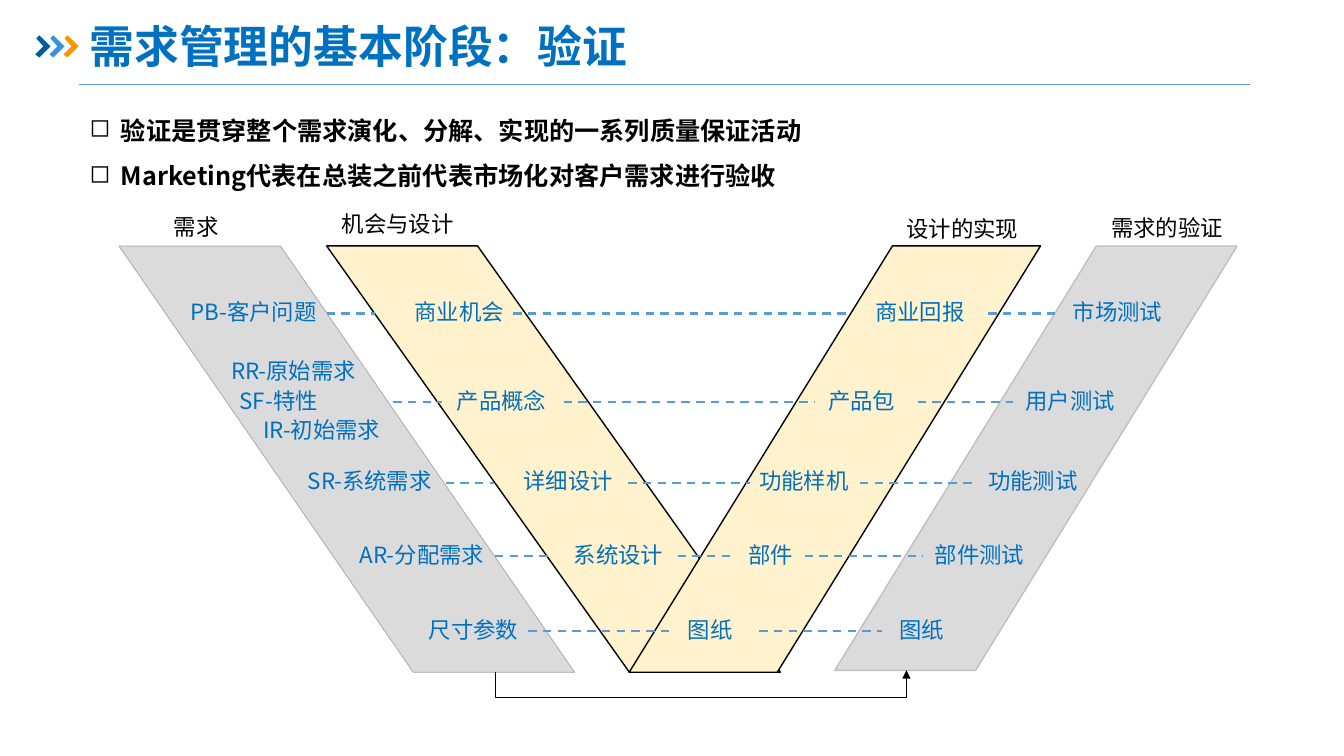
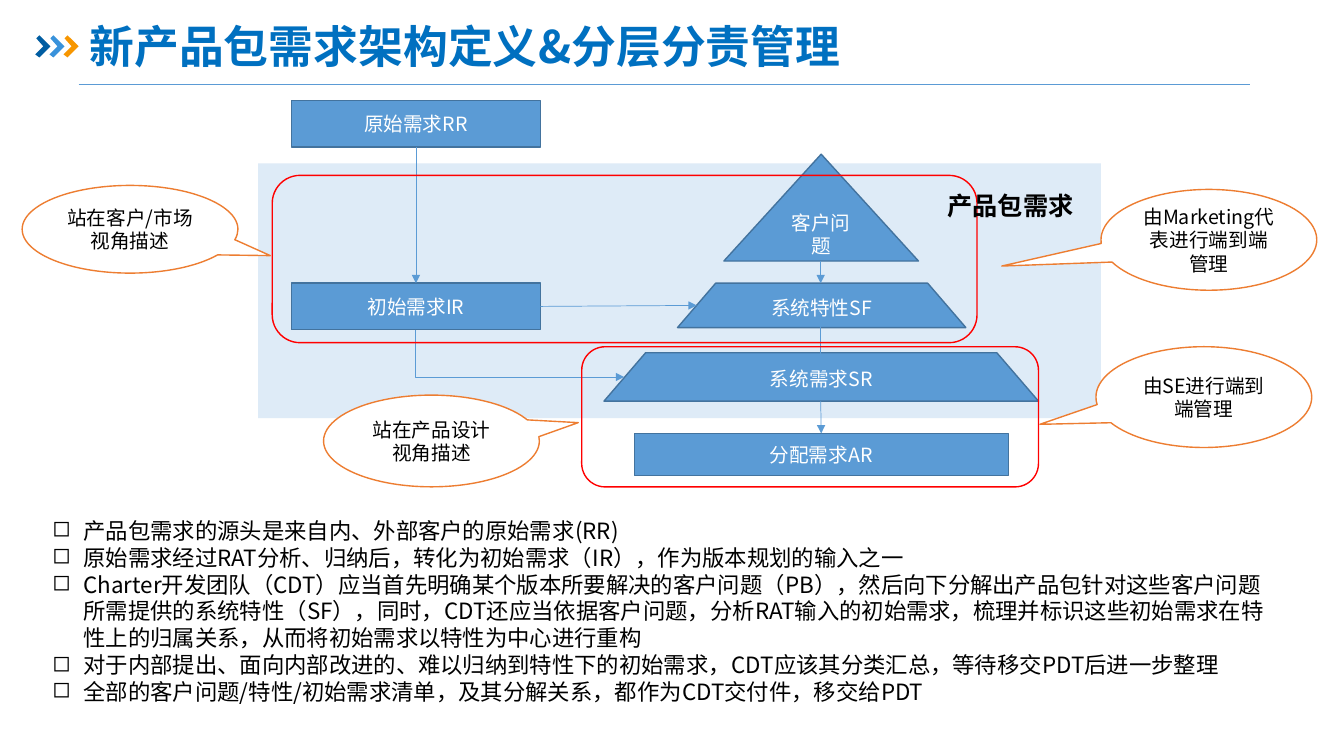
from lxml import etree
from pptx import Presentation
from pptx.dml.color import RGBColor
from pptx.enum.dml import MSO_LINE
from pptx.enum.shapes import MSO_CONNECTOR, MSO_SHAPE
from pptx.enum.text import MSO_ANCHOR, MSO_AUTO_SIZE, PP_ALIGN
from pptx.oxml.ns import qn
from pptx.util import Inches, Pt

FONT = "Noto Sans CJK SC"
BLACK = RGBColor(0x00, 0x00, 0x00)
WHITE = RGBColor(0xFF, 0xFF, 0xFF)
TITLE_BLUE = RGBColor(0x00, 0x70, 0xC0)
BLUE = RGBColor(0x5B, 0x9B, 0xD5)
EDGE_BLUE = RGBColor(0x43, 0x73, 0x9E)
PALE_BLUE = RGBColor(0xDE, 0xEB, 0xF7)
CREAM = RGBColor(0xFF, 0xF2, 0xCC)
GREY = RGBColor(0xDB, 0xDB, 0xDB)
LIGHT_EDGE = RGBColor(0xBF, 0xBF, 0xBF)
DARK_EDGE = RGBColor(0xA5, 0xA5, 0xA5)
RED = RGBColor(0xFF, 0x00, 0x00)
ORANGE = RGBColor(0xED, 0x7D, 0x31)
CHEVRONS = (RGBColor(0x00, 0x5D, 0xA2), RGBColor(0x39, 0x92, 0xDB),
            RGBColor(0xF7, 0x96, 0x00))

LEFT, CENTER, RIGHT = PP_ALIGN.LEFT, PP_ALIGN.CENTER, PP_ALIGN.RIGHT
TOP, MIDDLE = MSO_ANCHOR.TOP, MSO_ANCHOR.MIDDLE
FIT, NO_FIT = MSO_AUTO_SIZE.SHAPE_TO_FIT_TEXT, MSO_AUTO_SIZE.NONE
STRAIGHT, ELBOW = MSO_CONNECTOR.STRAIGHT, MSO_CONNECTOR.ELBOW
DASH = MSO_LINE.DASH
RECT, PROCESS = MSO_SHAPE.RECTANGLE, MSO_SHAPE.FLOWCHART_PROCESS
TRIANGLE, TRAPEZOID = MSO_SHAPE.ISOSCELES_TRIANGLE, MSO_SHAPE.TRAPEZOID
PARALLELOGRAM, ROUND = MSO_SHAPE.PARALLELOGRAM, MSO_SHAPE.ROUNDED_RECTANGLE
CALLOUT = MSO_SHAPE.OVAL_CALLOUT


class Deck:
    def __init__(self):
        self.prs = Presentation()
        self.prs.slide_width, self.prs.slide_height = Inches(13.33), Inches(7.5)
        self.s = None

    def slide(self, title):
        """Start a slide with the shared rule, chevrons and title."""
        self.s = self.prs.slides.add_slide(self.prs.slide_layouts[6])
        self.line((0.78, 0.84), (12.4, 0.84))
        for i, color in enumerate(CHEVRONS):
            self.chevron(0.35 + 0.14 * i, color)
        self.text(title, 0.79, 0.19, 11.5, 0.59, size=32, color=TITLE_BLUE,
                  bold=True, anchor=MIDDLE, fit=NO_FIT, spacing=0.9)

    def chevron(self, x, color):
        pts = [(Inches(x + dx), Inches(y)) for dx, y in (
            (0.01, 0.38), (0.04, 0.35), (0.15, 0.46), (0.04, 0.57),
            (0, 0.54), (0.08, 0.46))]
        fb = self.s.shapes.build_freeform(*pts[0])
        fb.add_line_segments(pts[1:], close=True)
        self.paint(fb.convert_to_shape(), color, None)

    def paint(self, sp, fill, edge, width=1):
        sp.shadow.inherit = False
        if fill is None:
            sp.fill.background()
        else:
            sp.fill.solid()
            sp.fill.fore_color.rgb = fill
        if edge is None:
            sp.line.fill.background()
        else:
            sp.line.color.rgb = edge
            sp.line.width = Pt(width)

    def run(self, p, text, size, color, bold=False):
        r = p.add_run()
        r.text = text
        f = r.font
        f.size, f.bold, f.name = Pt(size), bold, FONT
        f.color.rgb = color
        etree.SubElement(r._r.get_or_add_rPr(), qn("a:ea"), typeface=FONT)

    def box(self, x, y, w, h, anchor=TOP, fit=FIT):
        tf = self.s.shapes.add_textbox(
            Inches(x), Inches(y), Inches(w), Inches(h)).text_frame
        tf.word_wrap, tf.auto_size, tf.vertical_anchor = True, fit, anchor
        return tf

    def text(self, text, x, y, w, h=0.37, size=16, color=BLACK, bold=False,
             align=LEFT, anchor=TOP, fit=FIT, spacing=1.0):
        p = self.box(x, y, w, h, anchor, fit).paragraphs[0]
        p.alignment, p.line_spacing = align, spacing
        self.run(p, text, size, color, bold)

    def bullets(self, items, x, y, w, h, size, bold=False, spacing=1.0):
        tf = self.box(x, y, w, h)
        for i, item in enumerate(items):
            p = tf.add_paragraph() if i else tf.paragraphs[0]
            p.line_spacing = spacing
            pPr = p._p.get_or_add_pPr()
            pPr.set("marL", str(Inches(0.31)))
            pPr.set("indent", str(-Inches(0.31)))
            etree.SubElement(pPr, qn("a:buChar"), char="◻")
            self.run(p, item, size, BLACK, bold)

    def shape(self, kind, x, y, w, h, fill, edge, width=1, adj=(), flip=False,
              text=None, color=WHITE):
        sp = self.s.shapes.add_shape(
            kind, Inches(x), Inches(y), Inches(w), Inches(h))
        self.paint(sp, fill, edge, width)
        for i, value in enumerate(adj):
            sp.adjustments[i] = value
        if flip:
            sp._element.spPr.find(qn("a:xfrm")).set("flipH", "1")
        if text:
            tf = sp.text_frame
            tf.word_wrap, tf.vertical_anchor = True, MIDDLE
            p = tf.paragraphs[0]
            p.alignment = CENTER
            self.run(p, text, 14, color)
        return sp

    def node(self, kind, text, x, y, w, h, adj=()):
        return self.shape(kind, x, y, w, h, BLUE, EDGE_BLUE, adj=adj, text=text)

    def stroke(self, c, color, width, dash=None, arrow=False):
        c.line.color.rgb, c.line.width = color, Pt(width)
        if dash:
            c.line.dash_style = dash
        spPr = c._element.spPr
        if arrow:
            etree.SubElement(spPr.find(qn("a:ln")), qn("a:tailEnd"),
                             type="triangle")
        etree.SubElement(spPr, qn("a:effectLst"))

    def line(self, start, end, width=0.5, dash=None, arrow=False,
             begin=None, finish=None):
        """Straight line; begin and finish are (shape, site) joins."""
        c = self.s.shapes.add_connector(
            STRAIGHT, *(Inches(v) for v in (*start, *end)))
        if begin:
            c.begin_connect(*begin)
        if finish:
            c.end_connect(*finish)
        self.stroke(c, BLUE, width, dash, arrow)

    def elbow(self, preset, x, y, w, h, turn, flips, color, adj=None):
        """Bent arrow given by its frame before it is turned and flipped."""
        c = self.s.shapes.add_connector(
            ELBOW, Inches(x), Inches(y), Inches(x + w), Inches(y + h))
        xfrm = c._element.spPr.find(qn("a:xfrm"))
        xfrm.set("rot", str(turn * 60000))
        for flip in flips:
            xfrm.set(flip, "1")
        geom = c._element.spPr.find(qn("a:prstGeom"))
        geom.set("prst", preset)
        if adj is not None:
            etree.SubElement(geom.find(qn("a:avLst")), qn("a:gd"), name="adj1",
                             fmla=f"val {round(adj * 100000)}")
        self.stroke(c, color, 0.5, arrow=True)


def verification_slide(d):
    d.slide("需求管理的基本阶段：验证")
    for x, w, h, adj, flip, fill, edge, width in (
            (3.24, 4.5, 4.23, 0.71, True, CREAM, BLACK, 1),
            (8.28, 3.99, 4.21, 0.65, False, GREY, LIGHT_EDGE, 1),
            (1.18, 4.52, 4.23, 0.69, True, GREY, DARK_EDGE, 0.5),
            (6.24, 4.08, 4.23, 0.64, False, CREAM, BLACK, 1)):
        d.shape(PARALLELOGRAM, x, 2.44, w, h, fill, edge, width, (adj,), flip)

    d.bullets(["验证是贯穿整个需求演化、分解、实现的一系列质量保证活动",
               "Marketing代表在总装之前代表市场化对客户需求进行验收"],
              0.79, 0.94, 11.18, 1.01, 18, bold=True, spacing=1.5)

    for heading, x, y, w in (("需求", 1.39, 2.07, 1.11),
                             ("机会与设计", 3.24, 2.04, 1.41),
                             ("设计的实现", 8.84, 2.09, 1.41),
                             ("需求的验证", 10.87, 2.08, 1.41)):
        d.text(heading, x, y, w, align=CENTER)

    label_w = 1.93
    for label, x, y, align in (("PB-客户问题", 1.31, 2.91, RIGHT),
                               ("RR-原始需求", 1.7, 3.49, RIGHT),
                               ("SF-特性", 1.8, 3.79, CENTER),
                               ("IR-初始需求", 1.94, 4.08, RIGHT),
                               ("SR-系统需求", 2.45, 4.59, RIGHT),
                               ("AR-分配需求", 2.97, 5.32, RIGHT),
                               ("尺寸参数", 3.31, 6.06, RIGHT)):
        d.text(label, x, y, label_w, color=TITLE_BLUE, align=align)

    # Each level: top, labels with their left edge, dashes from x to x
    levels = (
        (2.91, (("商业机会", 3.59), ("商业回报", 8.16), ("市场测试", 10.12)),
         ((3.24, 3.72), (5.09, 8.43), (9.8, 10.47))),
        (3.79, (("产品概念", 4.01), ("产品包", 7.58), ("用户测试", 9.65)),
         ((3.9, 4.38), (5.59, 8.08), (9.1, 10.05))),
        (4.59, (("详细设计", 4.67), ("功能样机", 7.01), ("功能测试", 9.28)),
         ((4.42, 4.9), (6.23, 7.44), (8.53, 9.65))),
        (5.32, (("系统设计", 5.17), ("部件", 6.68), ("部件测试", 8.75)),
         ((4.91, 5.49), (6.72, 7.3), (7.98, 9.15))),
        (6.06, (("图纸", 6.08), ("图纸", 8.18)),
         ((5.24, 6.68), (7.53, 8.75))),
    )
    for top, labels, dashes in levels:
        for label, x in labels:
            d.text(label, x, top, label_w, color=TITLE_BLUE, align=CENTER)
        for x1, x2 in dashes:
            d.line((x1, top + 0.2), (x2, top + 0.2), 1.5, DASH)
    d.elbow("bentConnector3", 6.94, 4.62, 0.02, 4.08, 90, ("flipH", "flipV"),
            BLACK, adj=-12.5)


def architecture_slide(d):
    d.slide("新产品包需求架构定义&分层分责管理")
    d.shape(RECT, 2.56, 1.62, 8.36, 2.53, PALE_BLUE, None)

    d.node(TRIANGLE, "客户问题", 7.18, 1.53, 1.93, 1.06)
    d.node(TRAPEZOID, "系统特性SF", 6.72, 2.81, 2.86, 0.44, (0.86,))
    d.node(TRAPEZOID, "系统需求SR", 5.99, 3.5, 4.31, 0.48, (0.86,))
    allocated = d.node(RECT, "分配需求AR", 6.29, 4.3, 3.71, 0.42)
    raw = d.node(PROCESS, "原始需求RR", 2.89, 1, 2.47, 0.46)
    initial = d.node(PROCESS, "初始需求IR", 2.89, 2.81, 2.47, 0.46)

    d.line((4.12, 1.46), (4.12, 2.81), arrow=True,
           begin=(raw, 2), finish=(initial, 0))
    d.line((8.14, 2.59), (8.14, 2.81), arrow=True)
    d.line((8.14, 3.17), (8.14, 3.7), arrow=True)
    d.line((8.14, 3.98), (8.14, 4.3), arrow=True, finish=(allocated, 0))
    d.line((5.36, 3.04), (6.91, 3.03), arrow=True, begin=(initial, 3))
    d.elbow("bentConnector2", 4.92, 2.47, 0.47, 2.07, 270, ("flipH",), BLUE)

    d.shape(ROUND, 2.7, 1.74, 6.99, 1.66, None, RED)
    d.shape(ROUND, 5.77, 3.44, 4.53, 1.39, None, RED)
    d.text("产品包需求", 9.3, 1.84, 1.5, 0.4, 18, bold=True)

    for text, x, y, h, adj in (
            ("站在客户/市场视角描述", 0.22, 1.84, 0.87, (0.65, 0.3)),
            ("站在产品设计视角描述", 3.21, 3.92, 0.91, (0.68, -0.2)),
            ("由SE进行端到端管理", 10.87, 3.44, 1, (-0.76, 0.27)),
            ("由Marketing代表进行端到端管理", 10.92, 1.88, 1, (-0.96, 0.26))):
        d.shape(CALLOUT, x, y, 2.14, h, WHITE, ORANGE, adj=adj, text=text,
                color=BLACK)

    d.bullets([
        "产品包需求的源头是来自内、外部客户的原始需求(RR)",
        "原始需求经过RAT分析、归纳后，转化为初始需求（IR），作为版本规划的输入之一",
        "Charter开发团队（CDT）应当首先明确某个版本所要解决的客户问题（PB），"
        "然后向下分解出产品包针对这些客户问题所需提供的系统特性（SF），同时，"
        "CDT还应当依据客户问题，分析RAT输入的初始需求，"
        "梳理并标识这些初始需求在特性上的归属关系，从而将初始需求以特性为中心进行重构",
        "对于内部提出、面向内部改进的、难以归纳到特性下的初始需求，"
        "CDT应该其分类汇总，等待移交PDT后进一步整理",
        "全部的客户问题/特性/初始需求清单，及其分解关系，都作为CDT交付件，移交给PDT",
    ], 0.42, 5.08, 12.39, 2.02, 16)


def main():
    d = Deck()
    verification_slide(d)
    architecture_slide(d)
    d.prs.save("out.pptx")


if __name__ == "__main__":
    main()
